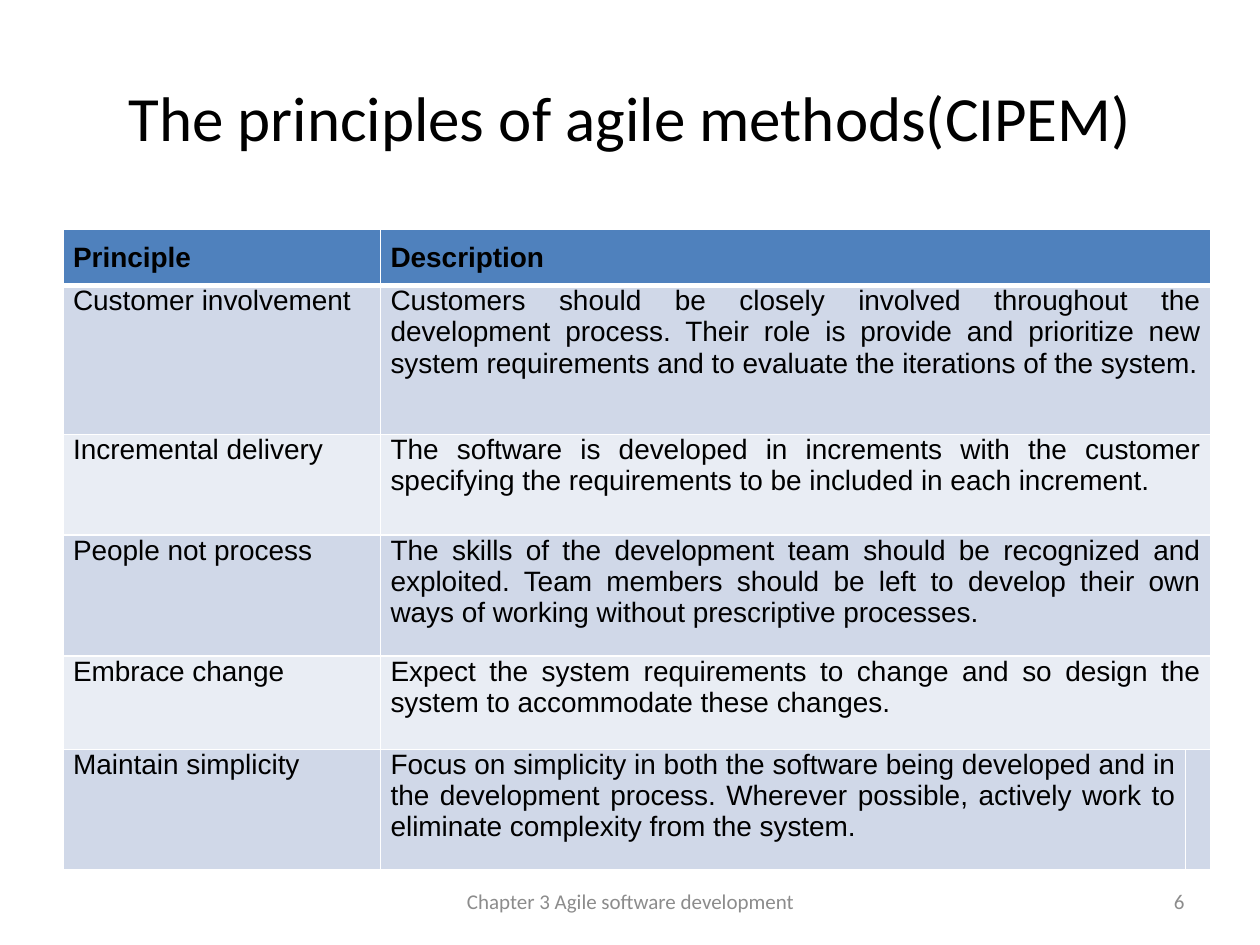
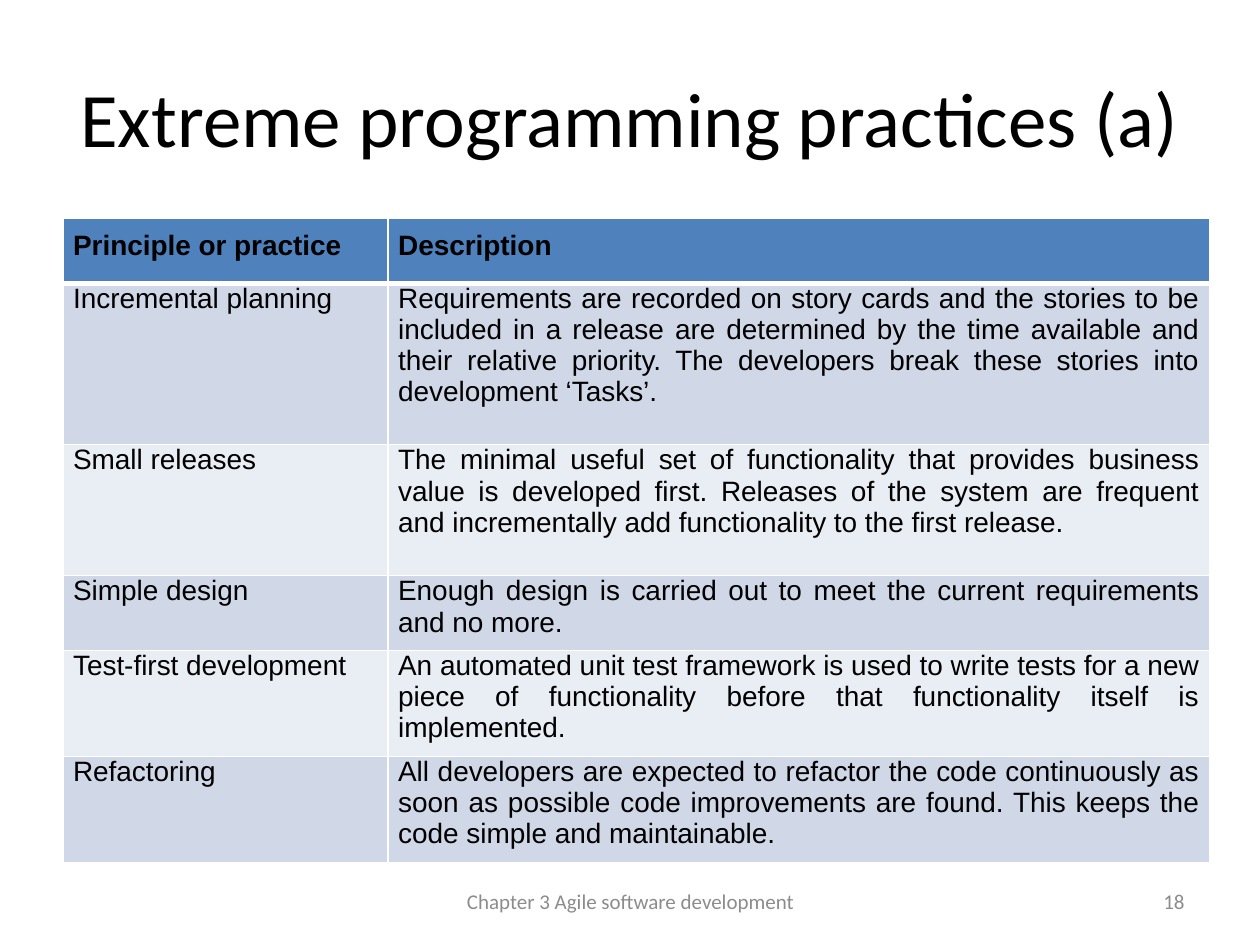
"""Two slides of tables on agile principles and practices."""
from lxml import etree
from pptx import Presentation
from pptx.dml.color import RGBColor
from pptx.enum import text as t
from pptx.oxml import ns
from pptx.util import Inches, Pt

HUES = {"head": "4F81BD", "odd": "D0D8E8", "even": "E9EDF4",
        "rule": "FFFFFF", "ink": "000000", "foot": "8C8C8C"}
ALIGN = {"l": t.PP_ALIGN.LEFT, "c": t.PP_ALIGN.CENTER,
         "r": t.PP_ALIGN.RIGHT, "j": t.PP_ALIGN.JUSTIFY}
TITLE = (0.5, 0.3, 9, 1.25)
FOOT = (3.42, 6.95, 3.17, 0.4)
NUMBER = (7.17, 6.95, 2.33, 0.4)


def write(frame, words, size=16, font="Arial", hue="ink", bold=False, align="j"):
    """Put formatted text in a text frame."""
    para = frame.paragraphs[0]
    para.alignment = ALIGN[align]
    run = para.add_run()
    run.text = words
    run.font.size = Pt(size)
    run.font.name = font
    run.font.bold = bold
    run.font.color.rgb = RGBColor.from_string(HUES[hue])


def add_title(slide, box, words, size):
    """Move and fill the title placeholder."""
    title = slide.shapes.title
    title.left, title.top, title.width, title.height = map(Inches, box)
    frame = title.text_frame
    frame.vertical_anchor = t.MSO_ANCHOR.MIDDLE
    write(frame, words, size=size, font="Calibri", align="c")


def add_note(slide, box, words, align):
    """Add one grey footer text."""
    frame = slide.shapes.add_textbox(*map(Inches, box)).text_frame
    frame.word_wrap = True
    frame.vertical_anchor = t.MSO_ANCHOR.MIDDLE
    write(frame, words, size=12, font="Calibri", hue="foot", align=align)


def rule_cell(cell, top, base):
    """Draw the four borders of a cell, widths in points."""
    props = cell._tc.get_or_add_tcPr()
    for side, width in (("L", 1), ("R", 1), ("T", top), ("B", base)):
        line = etree.SubElement(props, ns.qn(f"a:ln{side}"), w=str(Pt(width)))
        fill = etree.SubElement(line, ns.qn("a:solidFill"))
        etree.SubElement(fill, ns.qn("a:srgbClr"), val=HUES["rule"])


def style_cell(cell, row):
    """Give a cell the borders, fill and margins of its row."""
    rule_cell(cell, top=3 if row == 1 else 1, base=1 if row else 3)
    hue = "head" if row == 0 else "odd" if row % 2 else "even"
    cell.fill.solid()
    cell.fill.fore_color.rgb = RGBColor.from_string(HUES[hue])
    cell.margin_left = cell.margin_right = Inches(0.08)
    cell.margin_top = Inches(0 if row else 0.1)
    cell.margin_bottom = Inches(0.1)


def add_grid(slide, spot, cols, highs, rows):
    """Add a banded table; a short row but the last spans the spare columns."""
    box = (*spot, sum(cols), sum(highs))
    grid = slide.shapes.add_table(len(rows), len(cols), *map(Inches, box)).table
    for col, width in zip(grid.columns, cols):
        col.width = Inches(width)
    for row, high in zip(grid.rows, highs):
        row.height = Inches(high)
    for i, words in enumerate(rows):
        for j in range(len(cols)):
            style_cell(grid.cell(i, j), i)
        for j, word in enumerate(words):
            write(grid.cell(i, j).text_frame, word, bold=i == 0)
        if len(cols) > 2 and i < len(rows) - 1:
            grid.cell(i, 1).merge(grid.cell(i, len(cols) - 1))


def add_slide(deck, title, size, number, **grid):
    """Add a slide with title, table and footer."""
    slide = deck.slides.add_slide(deck.slide_layouts[5])
    add_title(slide, TITLE, title, size)
    add_grid(slide, **grid)
    add_note(slide, NUMBER, number, "r")
    add_note(slide, FOOT, "Chapter 3 Agile software development", "c")


AGILE = [
    ("Principle", "Description"),
    ("Customer involvement",
     "Customers should be closely involved throughout the development process. "
     "Their role is provide and prioritize new system requirements and to "
     "evaluate the iterations of the system."),
    ("Incremental delivery",
     "The software is developed in increments with the customer specifying the "
     "requirements to be included in each increment."),
    ("People not process",
     "The skills of the development team should be recognized and exploited. "
     "Team members should be left to develop their own ways of working without "
     "prescriptive processes."),
    ("Embrace change",
     "Expect the system requirements to change and so design the system to "
     "accommodate these changes."),
    ("Maintain simplicity",
     "Focus on simplicity in both the software being developed and in the "
     "development process. Wherever possible, actively work to eliminate "
     "complexity from the system."),
]
EXTREME = [
    ("Principle or practice", "Description"),
    ("Incremental planning",
     "Requirements are recorded on story cards and the stories to be included "
     "in a release are determined by the time available and their relative "
     "priority. The developers break these stories into development ‘Tasks’."),
    ("Small releases",
     "The minimal useful set of functionality that provides business value is "
     "developed first. Releases of the system are frequent and incrementally "
     "add functionality to the first release."),
    ("Simple design",
     "Enough design is carried out to meet the current requirements and no more."),
    ("Test-first development",
     "An automated unit test framework is used to write tests for a new piece "
     "of functionality before that functionality itself is implemented."),
    ("Refactoring",
     "All developers are expected to refactor the code continuously as soon as "
     "possible code improvements are found. This keeps the code simple and "
     "maintainable."),
]

deck = Presentation()
deck.slide_width, deck.slide_height = Inches(10), Inches(7.5)
add_slide(deck, "The principles of agile methods(CIPEM)", 36, "6",
          spot=(0.5, 1.82), cols=(2.52, 6.39, 0.14),
          highs=(0.44, 1.18, 0.8, 0.96, 0.74, 0.96), rows=AGILE)
add_slide(deck, "Extreme programming practices (a)", 44, "18",
          spot=(0.5, 1.73), cols=(2.58, 6.52),
          highs=(0.52, 1.28, 1.04, 0.57, 0.81, 0.81), rows=EXTREME)
deck.save("out.pptx")
